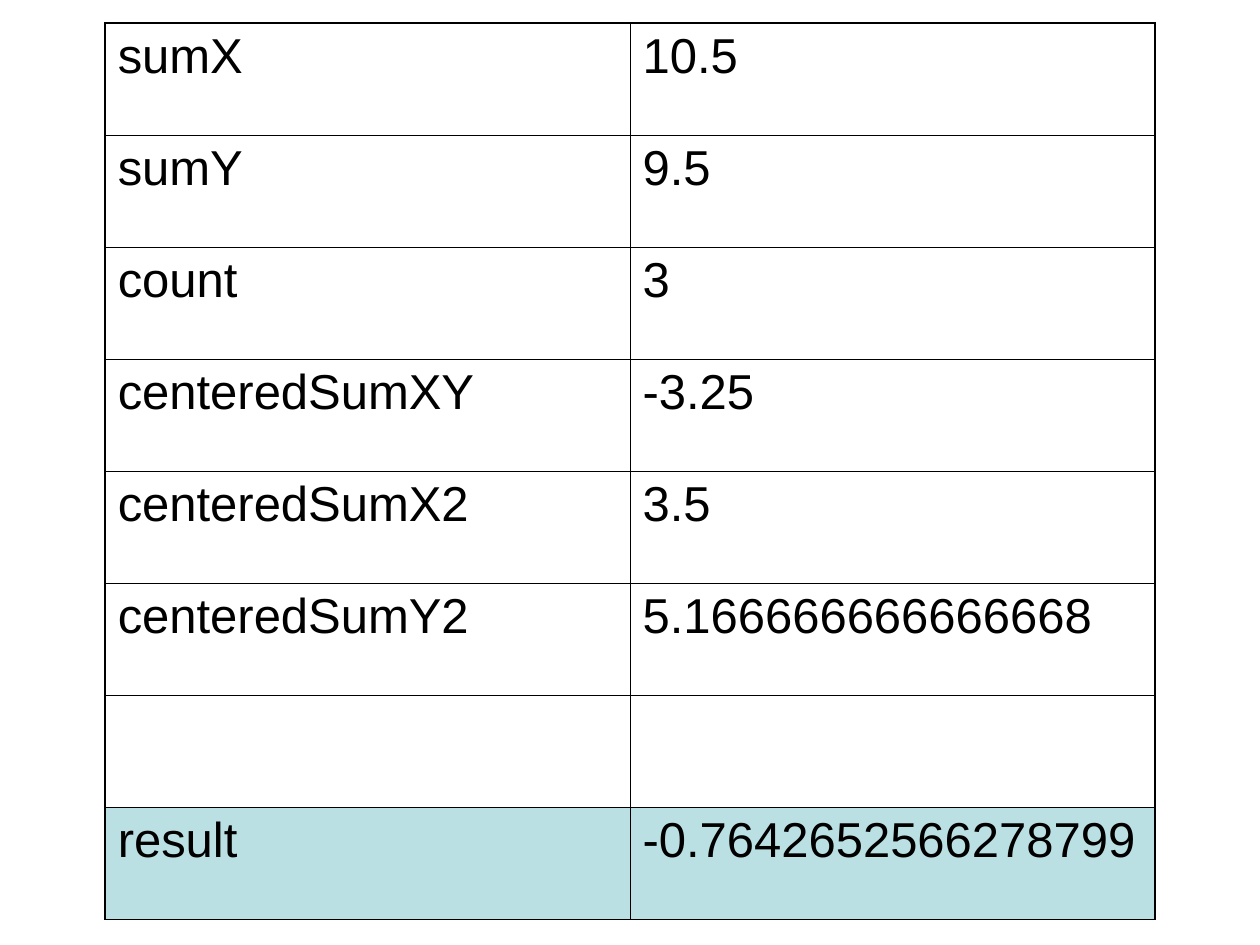
from lxml.etree import SubElement as Sub
from pptx import Presentation
from pptx.dml.color import RGBColor as Rgb
from pptx.oxml.ns import qn
from pptx.util import Cm, Pt

HUES = {"ink": "000000", "mark": "BBE0E3"}
THIN, THICK = 0.45, 1.08
ROWS = [
    ("sumX", "10.5"),
    ("sumY", "9.5"),
    ("count", "3"),
    ("centeredSumXY", "-3.25"),
    ("centeredSumX2", "3.5"),
    ("centeredSumY2", "5.166666666666668"),
    ("", ""),
    ("result", "-0.7642652566278799"),
]


def write(frame, text, font="Arial", size=28, hue="ink", before=7):
    para = frame.paragraphs[0]
    para.space_before = Pt(before)
    run = para.add_run()
    run.text = text
    run.font.name = font
    run.font.size = Pt(size)
    run.font.color.rgb = Rgb.from_string(HUES[hue])


class Deck:
    """Hold the style and the current slide."""

    def __init__(self, wide, high):
        self.show = Presentation()
        self.show.slide_width, self.show.slide_height = Cm(wide), Cm(high)
        self.slide = self.show.slides.add_slide(self.show.slide_layouts[6])

    def border(self, cell, side, width):
        line = Sub(cell._tc.get_or_add_tcPr(), qn(f"a:ln{side}"), w=str(Pt(width)))
        fill = Sub(line, qn("a:solidFill"))
        Sub(fill, qn("a:srgbClr"), val=HUES["ink"])

    def table(self, rows, left, top, wide, high, marked):
        last, end = len(rows) - 1, len(rows[0]) - 1
        frame = self.slide.shapes.add_table(
            last + 1, end + 1, Cm(left), Cm(top),
            Cm(wide * (end + 1)), Cm(high * (last + 1)))
        grid = frame.table
        grid.first_row = grid.horz_banding = False
        for r, row in enumerate(rows):
            for c, text in enumerate(row):
                cell = grid.cell(r, c)
                outer = {"L": c == 0, "R": c == end, "T": r == 0, "B": r == last}
                for side, edge in outer.items():
                    self.border(cell, side, THICK if edge else THIN)
                if r == marked:
                    cell.fill.solid()
                    cell.fill.fore_color.rgb = Rgb.from_string(HUES["mark"])
                else:
                    cell.fill.background()
                if text:
                    write(cell.text_frame, text)


def main():
    deck = Deck(25.4, 19.05)
    deck.table(ROWS, left=2.12, top=0.46, wide=10.58, high=2.26, marked=len(ROWS) - 1)
    deck.show.save("out.pptx")


if __name__ == "__main__":
    main()
